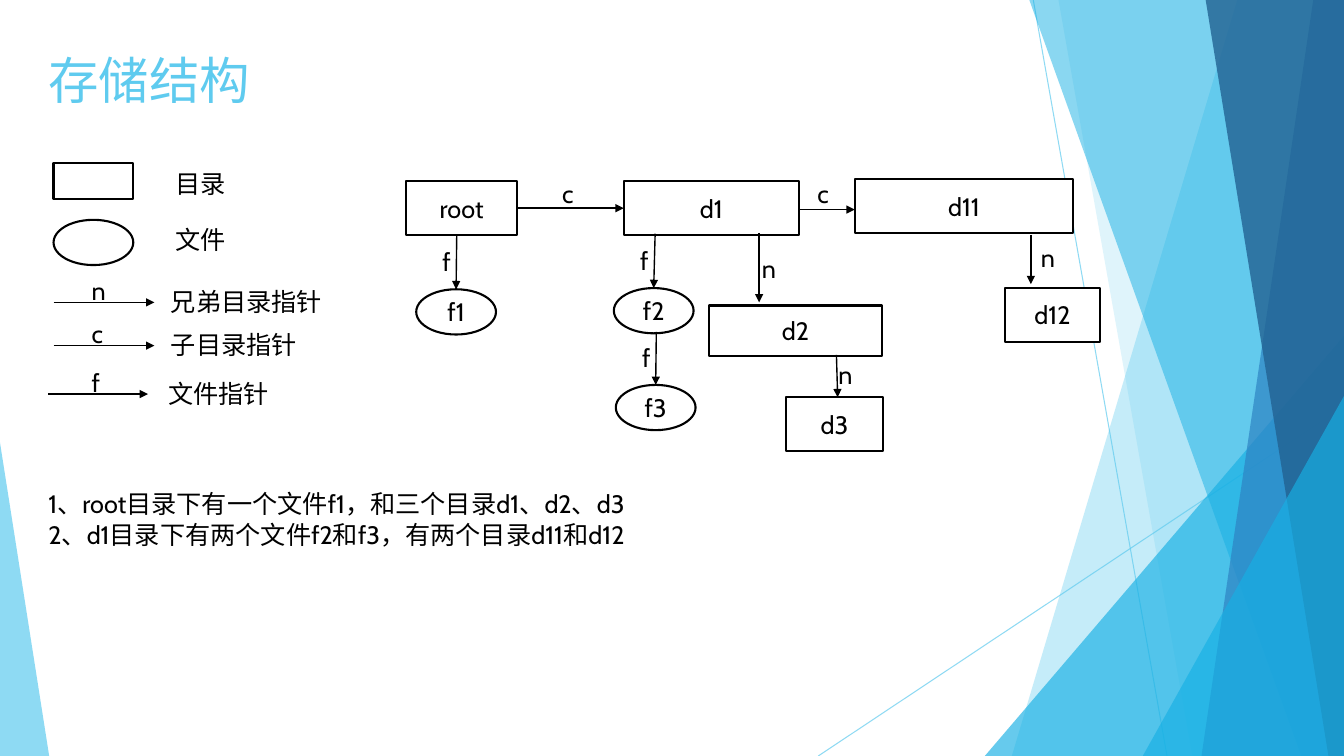
import pptx
import pptx.util
import pptx.dml.color
import pptx.enum.shapes
import pptx.enum.text
import pptx.oxml
import pptx.oxml.ns

Cm = pptx.util.Cm
Pt = pptx.util.Pt
RGB = pptx.dml.color.RGBColor.from_string
KIND = pptx.enum.shapes.MSO_SHAPE
ALIGN = pptx.enum.text.PP_ALIGN
ANCHOR = pptx.enum.text.MSO_ANCHOR
qn = pptx.oxml.ns.qn

INK = {"black": "000000", "white": "FFFFFF", "sky": "5FCBEF",
       "cyan": "17B0E4", "blue": "2E83C3", "navy": "226292"}
W, H = 33.87, 19.05

deck = pptx.Presentation()
deck.slide_width, deck.slide_height = Cm(W), Cm(H)
slide = deck.slides.add_slide(deck.slide_layouts[6])
shapes = slide.shapes


def write(shape, text, size=18, color="black", align=ALIGN.LEFT, anchor=ANCHOR.TOP):
    frame = shape.text_frame
    frame.word_wrap = True
    frame.vertical_anchor = anchor
    frame.text = text
    for para in frame.paragraphs:
        para.alignment = align
        para.font.size = Pt(size)
        para.font.name = "Cabin"
        para.font.color.rgb = RGB(INK[color])


def draw(x1, y1, x2, y2, color, width):
    """Add a straight line without shadow."""
    line = shapes.add_connector(pptx.enum.shapes.MSO_CONNECTOR.STRAIGHT,
                                Cm(x1), Cm(y1), Cm(x2), Cm(y2))
    line.line.color.rgb = RGB(INK[color])
    line.line.width = Pt(width)
    pptx.oxml.ns  # namespace map used by qn
    line._element.spPr.append(line._element.spPr.makeelement(qn("a:effectLst"), {}))
    return line


# Backdrop: thin lines, then translucent panels from back to front
for ends in [(26.04, 0, 29.41, H), (W, 10.24, 20.62, H)]:
    ray = draw(*ends, "sky", 0.75)
    tone = ray._element.spPr.find(".//" + qn("a:srgbClr"))
    tone.append(tone.makeelement(qn("a:alpha"), {"val": "70000"}))

# A panel is (top left x, bottom left x) reaching the right edge;
# a triangle is (left, top, width, apex position)
panels = [
    ((31.19, 25.5), "sky", 36),
    ((26.67, 30.05), "sky", 20),
    ((24.82, 8.46, 9.05, 1), "cyan", 66),
    ((25.93, 32.79), "cyan", 50),
    ((33.1, 30.28), "blue", 70),
    ((30.38, 33.48), "navy", 80),
    ((28.8, 9.98, 5.07, 1), "cyan", 66),
    ((0, 11.15, 1.24, 0), "sky", 70),
]
for form, color, alpha in panels:
    if len(form) == 2:
        top, base = form
        path = shapes.build_freeform(Cm(top), Cm(-0.03))
        path.add_line_segments([(Cm(W), Cm(-0.03)), (Cm(W), Cm(H)), (Cm(base), Cm(H))])
        panel = path.convert_to_shape()
    else:
        x, y, w, apex = form
        panel = shapes.add_shape(KIND.ISOSCELES_TRIANGLE, Cm(x), Cm(y), Cm(w), Cm(H - y))
        panel.adjustments[0] = apex
    panel.shadow.inherit = False
    panel.line.fill.background()
    panel.fill.solid()
    panel.fill.fore_color.rgb = RGB(INK[color])
    tone = panel._element.spPr.find(".//" + qn("a:srgbClr"))
    tone.append(tone.makeelement(qn("a:alpha"), {"val": str(alpha * 1000)}))

# Directories and files; the two without a name belong to the legend
nodes = {}
for name, kind, x, y, w, h in [
    ("root", KIND.RECTANGLE, 10.24, 4.57, 2.79, 1.35),
    ("d1", KIND.RECTANGLE, 15.72, 4.57, 4.42, 1.35),
    ("d11", KIND.RECTANGLE, 21.54, 4.52, 5.51, 1.35),
    ("d12", KIND.RECTANGLE, 25.32, 7.26, 2.41, 1.35),
    ("d3", KIND.RECTANGLE, 19.81, 10.01, 2.44, 1.35),
    ("d2", KIND.RECTANGLE, 17.86, 7.7, 4.37, 1.27),
    ("", KIND.RECTANGLE, 1.35, 4.11, 2.01, 0.91),
    ("", KIND.OVAL, 1.35, 5.54, 2.01, 1.14),
    ("f1", KIND.OVAL, 10.49, 7.29, 2.01, 1.14),
    ("f2", KIND.OVAL, 15.47, 7.26, 2.01, 1.14),
    ("f3", KIND.OVAL, 15.52, 9.7, 2.01, 1.14),
]:
    node = shapes.add_shape(kind, Cm(x), Cm(y), Cm(w), Cm(h))
    node.shadow.inherit = False
    node.fill.solid()
    node.fill.fore_color.rgb = RGB(INK["white"])
    node.line.color.rgb = RGB(INK["black"])
    node.line.width = Pt(1.5)
    if name:
        write(node, name, align=ALIGN.CENTER, anchor=ANCHOR.MIDDLE)
        nodes[name] = node

# Pointers: ends, then the (node, side) joined at the start and at the end
for ends, start, stop in [
    ((1.35, 7.62, 3.89, 7.62), None, None),
    ((1.35, 8.71, 3.89, 8.71), None, None),
    ((1.22, 9.93, 3.73, 9.93), None, None),
    ((13.03, 5.24, 15.72, 5.24), ("root", 3), ("d1", 1)),
    ((20.14, 5.28, 21.54, 5.28), None, None),
    ((11.51, 5.92, 11.48, 7.29), None, ("f1", 0)),
    ((16.51, 5.89, 16.48, 7.26), None, ("f2", 0)),
    ((16.54, 8.36, 16.51, 9.7), None, ("f3", 0)),
    ((25.98, 5.92, 25.98, 7.16), None, None),
    ((19.13, 5.87, 19.13, 7.62), None, None),
    ((21.08, 8.94, 21.11, 10.01), None, None),
]:
    arrow = draw(*ends, "black", 1)
    ln = arrow.line._get_or_add_ln()
    ln.append(ln.makeelement(qn("a:tailEnd"), {"type": "triangle"}))
    if start:
        arrow.begin_connect(nodes[start[0]], start[1])
    if stop:
        arrow.end_connect(nodes[stop[0]], stop[1])

# Legend wording and pointer letters
for text, x, y, w in [
    ("目录", 4.17, 4.11, 2.01),
    ("文件", 4.17, 5.54, 2.01),
    ("兄弟目录指针", 4.06, 7.09, 4.37),
    ("子目录指针", 4.06, 8.18, 4.37),
    ("文件指针", 3.99, 9.4, 4.37),
    ("n", 2.06, 6.81, 0.71),
    ("c", 2.06, 7.9, 0.71),
    ("f", 2.06, 9.12, 0.71),
    ("f", 10.9, 6.07, 0.71),
    ("c", 13.92, 4.37, 0.71),
    ("c", 20.35, 4.37, 0.71),
    ("n", 25.98, 5.97, 0.71),
    ("f", 15.88, 6.05, 0.71),
    ("f", 15.93, 8.51, 0.71),
    ("n", 20.88, 8.94, 0.71),
    ("n", 18.95, 6.27, 0.71),
]:
    write(shapes.add_textbox(Cm(x), Cm(y), Cm(w), Cm(1.02)), text)

title = shapes.add_textbox(Cm(0.97), Cm(1.12), Cm(23.88), Cm(2.41))
write(title, "存储结构", size=36, color="sky")

notes = shapes.add_textbox(Cm(0.97), Cm(12.19), Cm(15.6), Cm(1.8))
write(notes, "1、root目录下有一个文件f1，和三个目录d1、d2、d3\n"
             "2、d1目录下有两个文件f2和f3，有两个目录d11和d12")

deck.save("out.pptx")
